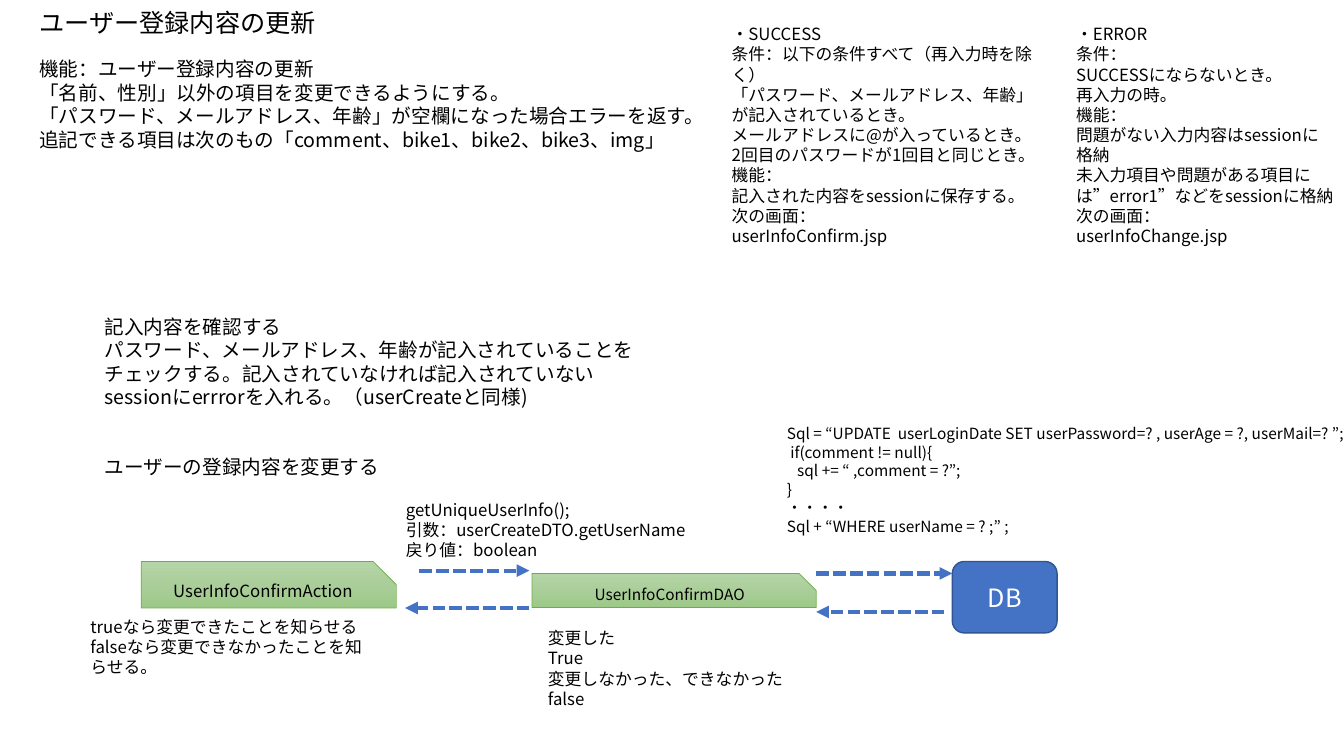
from copy import deepcopy
from dataclasses import dataclass

from lxml import etree
from pptx import Presentation
from pptx.dml.color import RGBColor
from pptx.enum.dml import MSO_LINE
from pptx.enum.shapes import MSO_CONNECTOR, MSO_SHAPE
from pptx.enum.text import MSO_ANCHOR, MSO_AUTO_SIZE, PP_ALIGN
from pptx.oxml.ns import qn
from pptx.util import Cm, Pt

SNIPPED = MSO_SHAPE.SNIP_1_RECTANGLE
ROUNDED = MSO_SHAPE.FLOWCHART_ALTERNATE_PROCESS
STRAIGHT = MSO_CONNECTOR.STRAIGHT
DASHED = MSO_LINE.SQUARE_DOT
GROW = MSO_AUTO_SIZE.SHAPE_TO_FIT_TEXT
MIDDLE = MSO_ANCHOR.MIDDLE
LEFT, CENTER = PP_ALIGN.LEFT, PP_ALIGN.CENTER

FONT = "Noto Sans CJK JP"
BLACK, WHITE, BLUE = "000000", "FFFFFF", "4472C4"
GREENS = ((0, "B5D5A7"), (0.5, "AACE9A"), (1, "9CC987"))


@dataclass
class Note:
    left: float
    top: float
    width: float
    height: float
    size: float
    lines: tuple[str, ...]


@dataclass
class Node:
    left: float
    top: float
    width: float
    height: float
    size: float
    label: str
    kind: int = SNIPPED
    fills: tuple = GREENS
    border: str = "70AD47"
    border_width: float = 0.5
    color: str = BLACK


@dataclass
class Arrow:
    start: float
    end: float
    y: float


NOTES = (
    Note(0.74, 0.05, 10.82, 1.02, 18, ("ユーザー登録内容の更新",)),
    Note(0.74, 1.32, 23.27, 2.64, 14, (
        "機能：ユーザー登録内容の更新",
        "「名前、性別」以外の項目を変更できるようにする。",
        "「パスワード、メールアドレス、年齢」が空欄になった場合エラーを返す。",
        "追記できる項目は次のもの「comment、bike1、bike2、bike3、img」")),
    Note(18.19, 0.48, 8.43, 5.89, 12, (
        "・SUCCESS",
        "条件：以下の条件すべて（再入力時を除く）",
        "「パスワード、メールアドレス、年齢」が記入されているとき。",
        "メールアドレスに@が入っているとき。",
        "2回目のパスワードが1回目と同じとき。",
        "機能：",
        "記入された内容をsessionに保存する。",
        "次の画面：",
        "userInfoConfirm.jsp")),
    Note(26.87, 0.48, 7.01, 5.89, 12, (
        "・ERROR",
        "条件：",
        "SUCCESSにならないとき。",
        "再入力の時。",
        "機能：",
        "問題がない入力内容はsessionに格納",
        "未入力項目や問題がある項目には”error1”などをsessionに格納",
        "次の画面：",
        "userInfoChange.jsp")),
    Note(2.39, 7.8, 14.12, 2.64, 14, (
        "記入内容を確認する",
        "パスワード、メールアドレス、年齢が記入されていることをチェックする。"
        "記入されていなければ記入されていないsessionにerrrorを入れる。（userCreateと同様)")),
    Note(2.39, 11.35, 14.12, 0.86, 14, ("ユーザーの登録内容を変更する",)),
    Note(19.58, 10.57, 14.94, 3.56, 11, (
        "Sql = “UPDATE  userLoginDate SET userPassword=? , userAge = ?, userMail=? ”;",
        " if(comment != null){",
        "   sql += “ ,comment = ?”;",
        "}",
        "・・・・",
        "Sql + “WHERE userName = ? ;” ;")),
    Note(9.98, 12.47, 12.6, 1.8, 12, (
        "getUniqueUserInfo();",
        "引数：userCreateDTO.getUserName",
        "戻り値：boolean")),
    Note(13.56, 15.7, 7.7, 2.31, 12, (
        "変更した", "True", "変更しなかった、できなかった", "false")),
    Note(2.03, 15.42, 7.7, 1.8, 12, (
        "trueなら変更できたことを知らせる",
        "falseなら変更できなかったことを知らせる。")),
)
NODES = (
    Node(3.56, 14.15, 6.43, 1.17, 12, "UserInfoConfirmAction"),
    Node(13.41, 14.45, 7.16, 0.86, 11, "UserInfoConfirmDAO"),
    Node(24, 14.15, 2.64, 1.8, 18, "DB", ROUNDED, ((0, BLUE),), "325491", 1, WHITE),
)
ARROWS = (
    Arrow(10.57, 13.34, 14.38),
    Arrow(20.57, 24, 14.45),
    Arrow(23.8, 20.57, 15.42),
    Arrow(13.34, 10.21, 15.32),
)


def rgb(value: str) -> RGBColor:
    return RGBColor.from_string(value)


def write(frame, lines: tuple[str, ...], size: float, color: str, align) -> None:
    frame.word_wrap = True
    for index, line in enumerate(lines):
        para = frame.paragraphs[0] if index == 0 else frame.add_paragraph()
        para.alignment = align
        span = para.add_run()
        span.text = line
        for name, value in {"size": Pt(size), "name": FONT}.items():
            setattr(span.font, name, value)
        span.font.color.rgb = rgb(color)
        east_asian = etree.SubElement(span.font._element, qn("a:ea"))
        east_asian.set("typeface", FONT)


def paint(shape, fills: tuple) -> None:
    """Fill with one colour, or with a top-to-bottom gradient of three stops."""
    if len(fills) == 1:
        shape.fill.solid()
        shape.fill.fore_color.rgb = rgb(fills[0][1])
        return
    shape.fill.gradient()
    shape.fill.gradient_angle = 270
    stop_list = shape._element.spPr.find(".//" + qn("a:gsLst"))
    stop_list.insert(1, deepcopy(stop_list[0]))
    for stop, (position, color) in zip(shape.fill.gradient_stops, fills):
        stop.position = position
        stop.color.rgb = rgb(color)


def add_note(page, note: Note) -> None:
    box = page.shapes.add_textbox(Cm(note.left), Cm(note.top), Cm(note.width), Cm(note.height))
    box.text_frame.auto_size = GROW
    write(box.text_frame, note.lines, note.size, BLACK, LEFT)


def add_node(page, node: Node) -> None:
    shape = page.shapes.add_shape(
        node.kind, Cm(node.left), Cm(node.top), Cm(node.width), Cm(node.height))
    shape.shadow.inherit = False
    if node.kind == SNIPPED:
        shape.adjustments[0] = 0.5
    paint(shape, node.fills)
    shape.line.color.rgb = rgb(node.border)
    shape.line.width = Pt(node.border_width)
    shape.text_frame.vertical_anchor = MIDDLE
    write(shape.text_frame, (node.label,), node.size, node.color, CENTER)


def add_arrow(page, arrow: Arrow) -> None:
    connector = page.shapes.add_connector(
        STRAIGHT, Cm(arrow.start), Cm(arrow.y), Cm(arrow.end), Cm(arrow.y))
    connector.line.color.rgb = rgb(BLUE)
    for name, value in {"width": Pt(3), "dash_style": DASHED}.items():
        setattr(connector.line, name, value)
    properties = connector._element.spPr
    etree.SubElement(properties.find(qn("a:ln")), qn("a:tailEnd")).set("type", "triangle")
    etree.SubElement(properties, qn("a:effectLst"))


def main() -> None:
    deck = Presentation()
    deck.slide_width, deck.slide_height = Cm(33.87), Cm(19.05)
    page = deck.slides.add_slide(deck.slide_layouts[6])
    for node in NODES:
        add_node(page, node)
    for arrow in ARROWS:
        add_arrow(page, arrow)
    for note in NOTES:
        add_note(page, note)
    deck.save("out.pptx")


if __name__ == "__main__":
    main()
